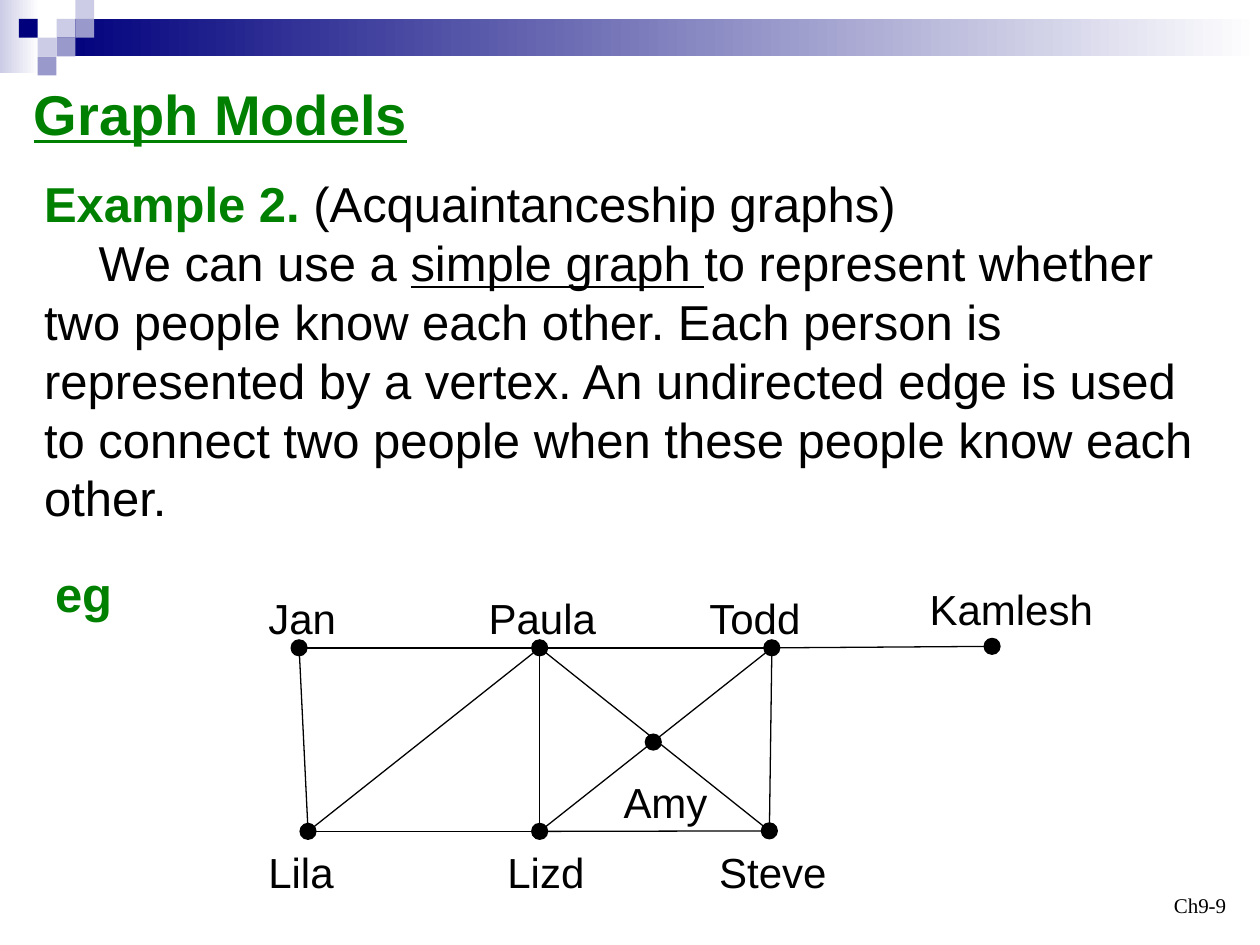
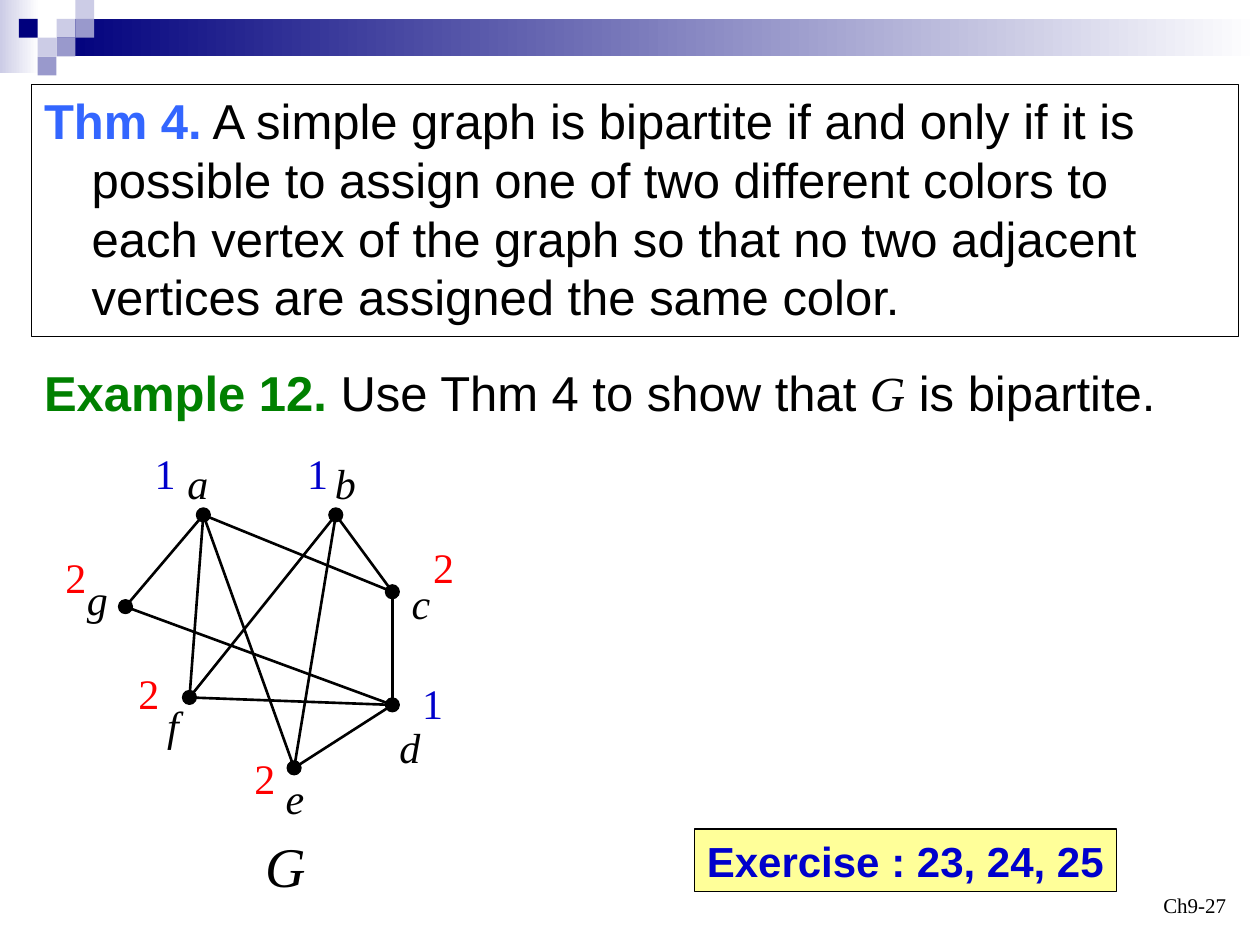
"""Build two slides on graph models and bipartite graphs."""
from lxml.etree import SubElement
from pptx import Presentation
from pptx.dml.color import RGBColor
from pptx.enum.shapes import MSO_CONNECTOR, MSO_SHAPE
from pptx.enum.text import MSO_ANCHOR, MSO_AUTO_SIZE, PP_ALIGN
from pptx.oxml.ns import qn
from pptx.util import Cm, Pt

BLACK = RGBColor(0x00, 0x00, 0x00)
WHITE = RGBColor(0xFF, 0xFF, 0xFF)
GREEN = RGBColor(0x00, 0x80, 0x00)
AZURE = RGBColor(0x33, 0x66, 0xFF)
BLUE = RGBColor(0x00, 0x00, 0xCC)
RED = RGBColor(0xFF, 0x00, 0x00)
YELLOW = RGBColor(0xFF, 0xFF, 0x99)
NAVY = RGBColor(0x00, 0x00, 0x7D)
LILAC = RGBColor(0x99, 0x99, 0xCC)
PALE = RGBColor(0xCC, 0xCC, 0xE6)

SANS, SERIF = "Arial", "Times New Roman"
LABEL_HEIGHT = 1.27
SQUARE = 0.38

BANDS = [((0, 0, 0.79, 1.47), PALE), ((1.14, 0.38, 24.26, 0.76), NAVY)]
SQUARES = [(3, 1, PALE), (4, 0, PALE), (4, 1, LILAC), (2, 2, PALE),
           (1, 1, NAVY), (3, 2, LILAC), (2, 3, LILAC)]

BODY = dict(size=28)
LEAD = dict(size=28, color=GREEN, bold=True)
TITLE = dict(size=32, color=GREEN, bold=True, underline=True)
THEOREM_LEAD = dict(size=28, color=AZURE, bold=True)
EXERCISE_STYLE = dict(size=24, color=BLUE, bold=True)
NAME_STYLE = dict(size=24)
LETTER_STYLE = dict(size=24, font=SERIF, italic=True)
FOOTER_STYLE = dict(size=12, font=SERIF)

ACQUAINTANCE_TEXT = [
    [("Example 2.", LEAD), (" (Acquaintanceship graphs)", BODY)],
    [("We can use a ", BODY), ("simple graph ", dict(size=28, underline=True)),
     ("to represent whether two people know each other. Each person is "
      "represented by a vertex. An undirected edge is used to connect two "
      "people when these people know each other.", BODY)],
]
PEOPLE = {
    "Jan": ((6.03, 13.06), (5.16, 11.81, 1.9)),
    "Paula": ((10.88, 13.06), (9.6, 11.81, 2.7)),
    "Todd": ((15.56, 13.06), (14.05, 11.81, 2.45)),
    "Kamlesh": ((20.0, 13.03), (18.49, 11.63, 3.85)),
    "Lila": ((6.21, 16.76), (5.16, 16.94, 1.85)),
    "Lizd": ((10.88, 16.76), (9.98, 16.94, 2.1)),
    "Steve": ((15.51, 16.75), (14.25, 16.94, 2.7)),
    "Amy": ((13.17, 14.96), (12.32, 15.52, 2.25)),
}
ACQUAINTANCES = [
    ("Jan", "Paula"), ("Jan", "Lila"), ("Paula", "Lizd"), ("Paula", "Steve"),
    ("Paula", "Lila"), ("Lila", "Lizd"), ("Paula", "Todd"), ("Todd", "Kamlesh"),
    ("Todd", "Steve"), ("Lizd", "Steve"), ("Todd", "Lizd"),
]

THEOREM = [[
    ("Thm 4.", THEOREM_LEAD),
    (" A simple graph is bipartite if and only if it is possible to assign one "
     "of two different colors to each vertex of the graph so that no two "
     "adjacent vertices are assigned the same color.", BODY),
]]
BIPARTITE_EXAMPLE = [[
    ("Example 12.", LEAD), (" Use Thm 4 to show that ", BODY),
    ("G", dict(size=28, font=SERIF, italic=True)), (" is bipartite.", BODY),
]]
VERTICES = {
    "a": ((4.1, 10.38), (3.53, 9.09, 0.91)),
    "b": ((6.77, 10.38), (6.5, 9.09, 0.91)),
    "c": ((7.91, 11.93), (8.05, 11.51, 0.89)),
    "d": ((7.91, 14.21), (7.8, 14.43, 0.91)),
    "e": ((5.93, 15.48), (5.51, 15.44, 0.89)),
    "f": ((3.82, 14.06), (3.12, 13.97, 0.74)),
    "g": ((2.53, 12.23), (1.5, 11.43, 0.91)),
}
EDGES = ["bc", "cd", "bf", "be", "ag", "ac", "ae", "af", "gd", "fd", "ed"]
COLORING = {
    "1": (BLUE, [(2.87, 8.89), (5.94, 8.89), (8.26, 13.54)]),
    "2": (RED, [(8.48, 10.8), (4.88, 15.04), (2.54, 13.34), (1.07, 11.0)]),
}


def write(frame, paragraphs, wrap=True):
    """Fill a text frame with paragraphs of (text, style) runs."""
    frame.word_wrap = wrap
    if not wrap:
        frame.auto_size = MSO_AUTO_SIZE.SHAPE_TO_FIT_TEXT
    frame.vertical_anchor = MSO_ANCHOR.TOP
    for index, runs in enumerate(paragraphs):
        paragraph = frame.add_paragraph() if index else frame.paragraphs[0]
        paragraph.alignment = PP_ALIGN.LEFT
        for text, style in runs:
            run = paragraph.add_run()
            run.text = text
            run.font.name = style.get("font", SANS)
            run.font.size = Pt(style["size"])
            run.font.color.rgb = style.get("color", BLACK)
            run.font.bold = style.get("bold", False)
            run.font.italic = style.get("italic", False)
            run.font.underline = style.get("underline", False)


def indent(paragraph, first, left=0):
    """Set a paragraph's left margin and first-line indent."""
    properties = paragraph._p.get_or_add_pPr()
    properties.set("marL", str(Cm(left)))
    properties.set("indent", str(Cm(first)))


def add_text(slide, place, paragraphs, wrap=True):
    """Add a text box and return its frame."""
    frame = slide.shapes.add_textbox(*map(Cm, place)).text_frame
    write(frame, paragraphs, wrap)
    return frame


def add_label(slide, text, place, style, height=LABEL_HEIGHT):
    """Add a one-line label at (left, top, width)."""
    add_text(slide, (*place, height), [[(text, style)]], wrap=False)


def add_figure(slide, kind, place, fill=None, outline=None):
    """Add a flat preset shape."""
    figure = slide.shapes.add_shape(kind, *map(Cm, place))
    figure.shadow.inherit = False
    if fill is None:
        figure.fill.background()
    else:
        figure.fill.solid()
        figure.fill.fore_color.rgb = fill
    if outline is None:
        figure.line.fill.background()
    else:
        figure.line.color.rgb = outline
        figure.line.width = Pt(0.75)
    return figure


def add_graph(slide, vertices, edges, label_style, dot, edge_width):
    """Draw edges between vertex centres, then dots and labels."""
    for start, end in edges:
        ends = vertices[start][0] + vertices[end][0]
        edge = slide.shapes.add_connector(MSO_CONNECTOR.STRAIGHT, *map(Cm, ends))
        edge.line.color.rgb = BLACK
        edge.line.width = Pt(edge_width)
        SubElement(edge._element.spPr, qn("a:effectLst"))
    for name, ((x, y), label_place) in vertices.items():
        add_figure(slide, MSO_SHAPE.OVAL, (x - dot / 2, y - dot / 2, dot, dot),
                   BLACK, BLACK)
        add_label(slide, name, label_place, label_style)


def new_slide(deck, number):
    """Add a slide with the top band and page number."""
    slide = deck.slides.add_slide(deck.slide_layouts[6])
    for place, color in BANDS:
        band = add_figure(slide, MSO_SHAPE.RECTANGLE, place)
        band.fill.gradient()
        band.fill.gradient_angle = 0
        for stop, stop_color in zip(band.fill.gradient_stops, (color, WHITE)):
            stop.color.rgb = stop_color
    for column, row, color in SQUARES:
        add_figure(slide, MSO_SHAPE.RECTANGLE,
                   (column * SQUARE, row * SQUARE, SQUARE, SQUARE), color)
    footer = add_text(slide, (19.05, 17.35, 5.92, 1.27),
                      [[(f"Ch9-{number}", FOOTER_STYLE)]])
    footer.vertical_anchor = MSO_ANCHOR.BOTTOM
    footer.paragraphs[0].alignment = PP_ALIGN.RIGHT
    return slide


def build_acquaintance_slide(deck):
    """Build the acquaintanceship graph slide."""
    slide = new_slide(deck, 9)
    add_text(slide, (0.43, 1.47, 24.13, 1.63), [[("Graph Models", TITLE)]])
    example = add_text(slide, (0.64, 3.38, 24.13, 7.37), ACQUAINTANCE_TEXT)
    indent(example.paragraphs[1], 1.1)
    add_label(slide, "eg", (0.86, 11.23, 1.7), LEAD, 1.45)
    add_graph(slide, PEOPLE, ACQUAINTANCES, NAME_STYLE, 0.32, 0.75)


def build_bipartite_slide(deck):
    """Build the bipartite colouring slide."""
    slide = new_slide(deck, 27)
    theorem = add_figure(slide, MSO_SHAPE.RECTANGLE, (0.64, 1.7, 24.33, 5.08),
                         outline=BLACK).text_frame
    write(theorem, THEOREM)
    example = add_text(slide, (0.64, 7.19, 24.33, 1.7), BIPARTITE_EXAMPLE)
    for frame in (theorem, example):
        indent(frame.paragraphs[0], -0.96, 0.96)
    add_graph(slide, VERTICES, EDGES, LETTER_STYLE, 0.28, 1.5)
    add_label(slide, "G", (5.11, 16.64, 1.32), {**LETTER_STYLE, "size": 32}, 1.63)
    for digit, (color, places) in COLORING.items():
        for place in places:
            add_label(slide, digit, (*place, 0.91),
                      dict(size=24, font=SERIF, color=color))
    exercise = add_figure(slide, MSO_SHAPE.RECTANGLE, (14.0, 16.71, 8.51, 1.27),
                          YELLOW, BLACK)
    write(exercise.text_frame, [[("Exercise : 23, 24, 25", EXERCISE_STYLE)]],
          wrap=False)


def main():
    """Build and save the deck."""
    deck = Presentation()
    deck.slide_width, deck.slide_height = Cm(25.4), Cm(19.05)
    build_acquaintance_slide(deck)
    build_bipartite_slide(deck)
    deck.save("out.pptx")


if __name__ == "__main__":
    main()
